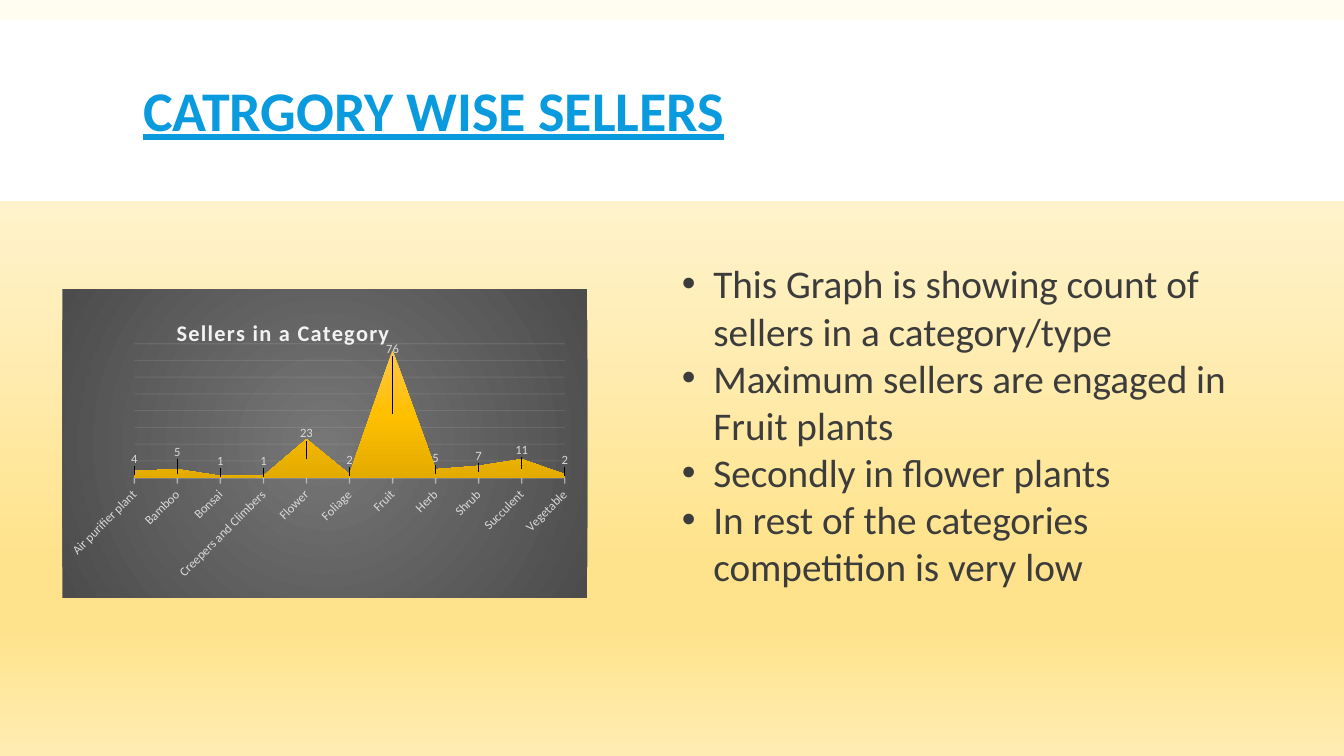
from lxml import etree
from pptx import Presentation
from pptx.chart.data import CategoryChartData
from pptx.dml.color import RGBColor
from pptx.enum.chart import XL_CHART_TYPE as CHART, XL_TICK_MARK as TICK
from pptx.enum.shapes import MSO_SHAPE as SHAPE
from pptx.enum.text import MSO_ANCHOR as ANCHOR, PP_ALIGN as ALIGN
from pptx.oxml import parse_xml
from pptx.oxml.ns import nsdecls, qn
from pptx.util import Pt

WHITE = RGBColor(0xFF, 0xFF, 0xFF)
BLUE = RGBColor(0x09, 0x9B, 0xDD)
DARK = RGBColor(0x3C, 0x3C, 0x3C)
LIGHT = RGBColor(0xD9, 0xD9, 0xD9)
PALE = RGBColor(0xF2, 0xF2, 0xF2)
SKY = [(0, RGBColor(0xFF, 0xFC, 0xF2)), (74, RGBColor(0xFF, 0xE3, 0x8C)),
       (83, RGBColor(0xFF, 0xE3, 0x8C)), (100, RGBColor(0xFF, 0xEC, 0xB2))]
GOLD = [(0, RGBColor(0xFF, 0xC6, 0x4B)), (50, RGBColor(0xFF, 0xC0, 0x00)),
        (100, RGBColor(0xE3, 0xAB, 0x00))]
GREY = [(0, RGBColor(0x76, 0x76, 0x76)), (100, RGBColor(0x4C, 0x4C, 0x4C))]

SELLERS = {"Air purifier plant": 4, "Bamboo": 5, "Bonsai": 1,
           "Creepers and Climbers": 1, "Flower": 23, "Foliage": 2, "Fruit": 76,
           "Herb": 5, "Shrub": 7, "Succulent": 11, "Vegetable": 2}
# How far each value label is raised, as a share of the chart height
LABEL_LIFTS = [0.05, 0.07, 0.05, 0.05, 0.08, 0.05, 0.21, 0.05, 0.05, 0.06, 0.05]
FINDINGS = ["This Graph is showing count of sellers in a category/type",
            "Maximum sellers are engaged in Fruit plants",
            "Secondly in flower plants",
            "In rest of the categories competition is very low"]


def gradient(stops, radial=False):
    gs = "".join(f'<a:gs pos="{pos * 1000}"><a:srgbClr val="{color}"/></a:gs>'
                 for pos, color in stops)
    way = ('<a:path path="circle"><a:fillToRect l="50000" t="50000" r="50000" '
           'b="50000"/></a:path>' if radial else '<a:lin ang="5400000" scaled="0"/>')
    return parse_xml(f'<a:gradFill {nsdecls("a")} rotWithShape="1">'
                     f'<a:gsLst>{gs}</a:gsLst>{way}</a:gradFill>')


def layout(x, y, w=None, h=None, edge=True):
    inner = '<c:layoutTarget val="inner"/>' if w else ""
    mode = '<c:xMode val="edge"/><c:yMode val="edge"/>' if edge else ""
    size = f'<c:w val="{w}"/><c:h val="{h}"/>' if w else ""
    return parse_xml(f'<c:layout {nsdecls("c")}><c:manualLayout>{inner}{mode}'
                     f'<c:x val="{x}"/><c:y val="{y}"/>{size}'
                     '</c:manualLayout></c:layout>')


def set_layout(parent, index, new):
    for old in parent.findall(qn("c:layout")):
        parent.remove(old)
    parent.insert(index, new)


class Deck:
    font = "Calibri"

    def __init__(self):
        self.prs = Presentation()
        self.prs.slide_width, self.prs.slide_height = Pt(960), Pt(540)
        self.s = self.prs.slides.add_slide(self.prs.slide_layouts[5])

    def style(self, font, size, color, bold=False):
        font.name, font.size, font.bold = self.font, Pt(size), bold
        font.color.rgb = color

    def background(self, stops):
        self.s.background.fill.solid()
        solid = next(self.s.background._cSld.iter(qn("a:solidFill")))
        solid.getparent().replace(solid, gradient(stops))

    def band(self, x, y, w, h, color):
        sp = self.s.shapes.add_shape(SHAPE.RECTANGLE, Pt(x), Pt(y), Pt(w), Pt(h))
        sp.shadow.inherit = False
        sp.fill.solid()
        sp.fill.fore_color.rgb = color
        sp.line.fill.background()
        self.s.shapes._spTree.insert(2, sp._element)  # behind the title

    def title(self, text, x, y, w, h):
        sp = self.s.shapes.title
        sp.left, sp.top, sp.width, sp.height = Pt(x), Pt(y), Pt(w), Pt(h)
        tf = sp.text_frame
        tf.text, tf.vertical_anchor, tf.word_wrap = text, ANCHOR.MIDDLE, True
        p = tf.paragraphs[0]
        p.alignment, p.line_spacing = ALIGN.LEFT, 0.85
        self.style(p.font, 40, BLUE, True)
        p.font.underline = True

    def bullets(self, items, x, y, w, h):
        tf = self.s.shapes.add_textbox(Pt(x), Pt(y), Pt(w), Pt(h)).text_frame
        tf.word_wrap = True
        tf.text = "\n".join(items)
        for p in tf.paragraphs:
            self.style(p.font, 28, DARK)
            pPr = p._p.get_or_add_pPr()
            pPr.set("marL", str(Pt(22.5)))
            pPr.set("indent", str(-Pt(22.5)))
            for mark in ('buFont {} typeface="Arial"', 'buChar {} char="•"'):
                bullet = parse_xml(f'<a:{mark.format(nsdecls("a"))}/>')
                pPr.find(qn("a:defRPr")).addprevious(bullet)

    def line(self, line, color, width, opacity):
        line.color.rgb, line.width = color, Pt(width)
        clr = next(line._get_or_add_ln().iter(qn("a:srgbClr")))
        etree.SubElement(clr, qn("a:alpha")).set("val", str(opacity * 1000))

    def area_chart(self, title, values, lifts, x, y, w, h):
        data = CategoryChartData()
        data.categories = list(values)
        data.add_series("Series 1", list(values.values()))
        chart = self.s.shapes.add_chart(CHART.AREA, Pt(x), Pt(y), Pt(w), Pt(h),
                                        data).chart
        chart.has_legend = False
        self.style(chart.font, 10, WHITE)

        # Chart title and plot placement
        tf = chart.chart_title.text_frame
        tf.text = title
        self.style(tf.paragraphs[0].font, 16, PALE, True)
        tf.paragraphs[0].font._rPr.set("spc", "100")
        chart.chart_title.include_in_layout = False
        set_layout(chart.chart_title._element, 1, layout(0.21, 0.08))
        space = chart._chartSpace
        set_layout(space.chart.plotArea, 0, layout(0.137, 0.177, 0.82, 0.434))

        # Chart ground
        spPr = parse_xml(f'<c:spPr {nsdecls("c", "a")}><a:ln><a:noFill/></a:ln></c:spPr>')
        spPr.insert(0, gradient(GREY, radial=True))
        space.chart.addnext(spPr)

        # Series, with its labels raised above the area
        series = chart.plots[0].series[0]
        series.format.fill.solid()
        solid = next(series._element.iter(qn("a:solidFill")))
        solid.getparent().replace(solid, gradient(GOLD))
        series.data_labels.show_value = True
        self.style(series.data_labels.font, 9, LIGHT)
        for i, lift in enumerate(lifts):
            label = series.points[i].data_label
            self.style(label.font, 9, LIGHT)
            set_layout(label._get_or_add_dLbl(), 1, layout(0, -lift, edge=False))

        # Axes
        cat, val = chart.category_axis, chart.value_axis
        cat.has_major_gridlines = False
        cat.major_tick_mark, cat.minor_tick_mark = TICK.OUTSIDE, TICK.NONE
        self.style(cat.tick_labels.font, 9, LIGHT)
        cat._element.find(qn("c:txPr")).find(qn("a:bodyPr")).set("rot", "-2700000")
        self.line(cat.format.line, PALE, 1, 54)
        val.minimum_scale, val.maximum_scale, val.major_unit = 0, 80, 10
        val.has_major_gridlines = True
        self.line(val.major_gridlines.format.line, PALE, 0.75, 10)
        val.visible = False
        val._element.find(qn("c:crossBetween")).set("val", "midCat")


def main():
    deck = Deck()
    deck.background(SKY)
    deck.band(0, 14, 960, 129.6, WHITE)
    deck.title("CATRGORY WISE SELLERS", 95, 22.3, 770.4, 118.8)
    deck.area_chart("Sellers in a Category", SELLERS, LABEL_LIFTS,
                    44.6, 206.6, 375, 220.3)
    deck.bullets(FINDINGS, 480, 182, 443.5, 244.8)
    deck.prs.save("out.pptx")


if __name__ == "__main__":
    main()
